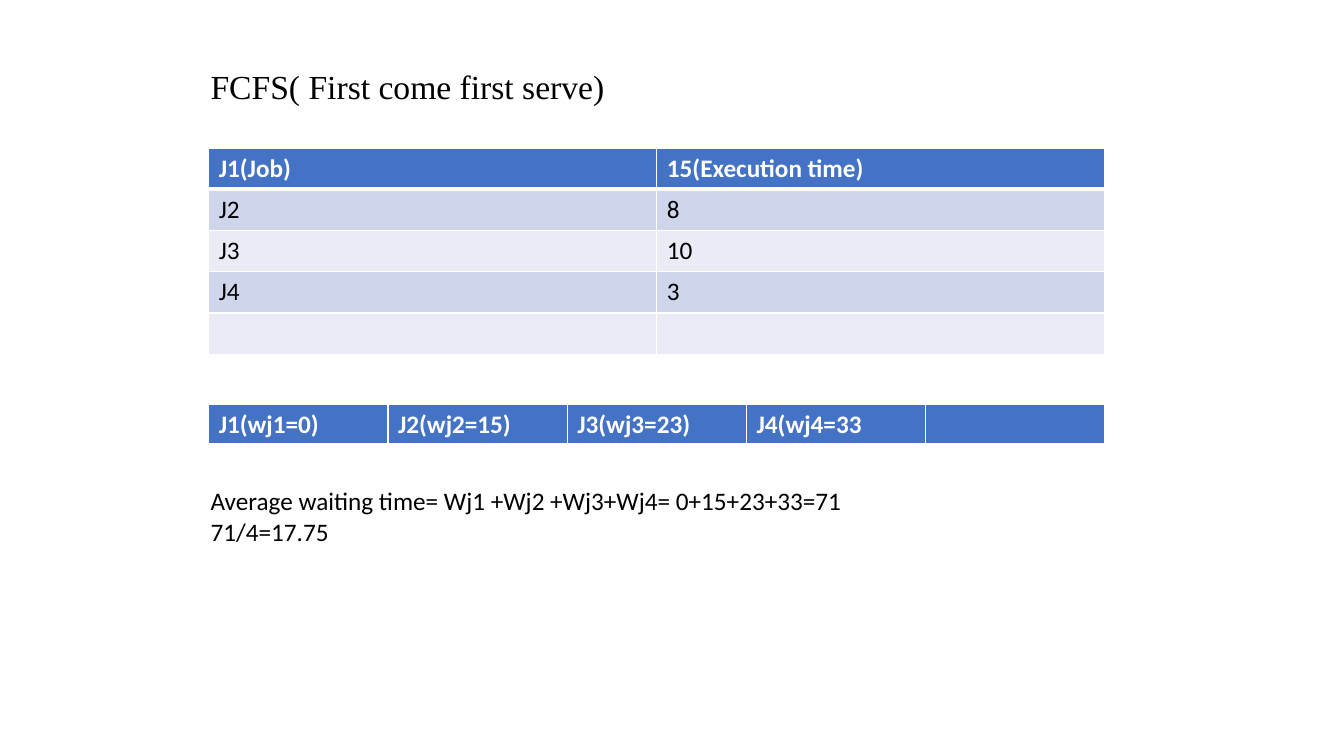
from lxml.etree import SubElement
from pptx import Presentation
from pptx.dml.color import RGBColor
from pptx.oxml.ns import qn
from pptx.util import Inches, Pt

COLORS = {
    "header": "4472C4",
    "band_dark": "CFD5EA",
    "band_light": "E9EBF5",
    "white": "FFFFFF",
    "black": "000000",
}
JOBS = [
    ("J1(Job)", "15(Execution time)"),
    ("J2", "8"),
    ("J3", "10"),
    ("J4", "3"),
    ("", ""),
]
WAITING_TIMES = [("J1(wj1=0)", "J2(wj2=15)", "J3(wj3=23)", "J4(wj4=33", "")]
TABLE_LEFT, TABLE_WIDTH = 2.07, 8.89
HEADER_HEIGHT, ROW_HEIGHT = 0.4, 0.41


def rgb(name):
    return RGBColor.from_string(COLORS[name])


def write_text(paragraph, text, font="Calibri", size=18, color="black", bold=False):
    paragraph.font.size = Pt(size)
    if not text:
        return
    run = paragraph.add_run()
    run.text = text
    run.font.name = font
    run.font.size = Pt(size)
    run.font.bold = bold
    run.font.color.rgb = rgb(color)


def add_text_box(slide, left, top, width, height, lines, **text_format):
    frame = slide.shapes.add_textbox(
        Inches(left), Inches(top), Inches(width), Inches(height)
    ).text_frame
    frame.word_wrap = True
    for index, line in enumerate(lines):
        paragraph = frame.add_paragraph() if index else frame.paragraphs[0]
        write_text(paragraph, line, **text_format)


def set_borders(cell, **widths):
    properties = cell._tc.get_or_add_tcPr()
    for side in ("L", "R", "T", "B"):
        line = SubElement(properties, qn(f"a:ln{side}"), w=str(Pt(widths.get(side, 1))))
        fill = SubElement(line, qn("a:solidFill"))
        SubElement(fill, qn("a:srgbClr"), val=COLORS["white"])


def add_job_table(slide, top, rows):
    row_count, column_count = len(rows), len(rows[0])
    height = HEADER_HEIGHT + ROW_HEIGHT * (row_count - 1)
    table = slide.shapes.add_table(
        row_count, column_count,
        Inches(TABLE_LEFT), Inches(top), Inches(TABLE_WIDTH), Inches(height),
    ).table
    for row_index, texts in enumerate(rows):
        is_header = row_index == 0
        band = "band_dark" if row_index % 2 else "band_light"
        table.rows[row_index].height = Inches(HEADER_HEIGHT if is_header else ROW_HEIGHT)
        for column_index, text in enumerate(texts):
            cell = table.cell(row_index, column_index)
            set_borders(cell, T=3 if row_index == 1 else 1, B=3 if is_header else 1)
            cell.fill.solid()
            cell.fill.fore_color.rgb = rgb("header" if is_header else band)
            write_text(
                cell.text_frame.paragraphs[0], text,
                color="white" if is_header else "black", bold=is_header,
            )


def main():
    presentation = Presentation()
    presentation.slide_width = Inches(13.33)
    presentation.slide_height = Inches(7.5)
    slide = presentation.slides.add_slide(presentation.slide_layouts[6])
    add_job_table(slide, 1.47, JOBS)
    add_job_table(slide, 4.01, WAITING_TIMES)
    add_text_box(
        slide, 1.99, 0.6, 8.97, 0.5, ["FCFS( First come first serve)"],
        font="Times New Roman", size=24,
    )
    add_text_box(
        slide, 1.99, 4.77, 9.05, 0.71,
        ["Average waiting time= Wj1 +Wj2 +Wj3+Wj4= 0+15+23+33=71", "71/4=17.75"],
    )
    presentation.save("out.pptx")


if __name__ == "__main__":
    main()
